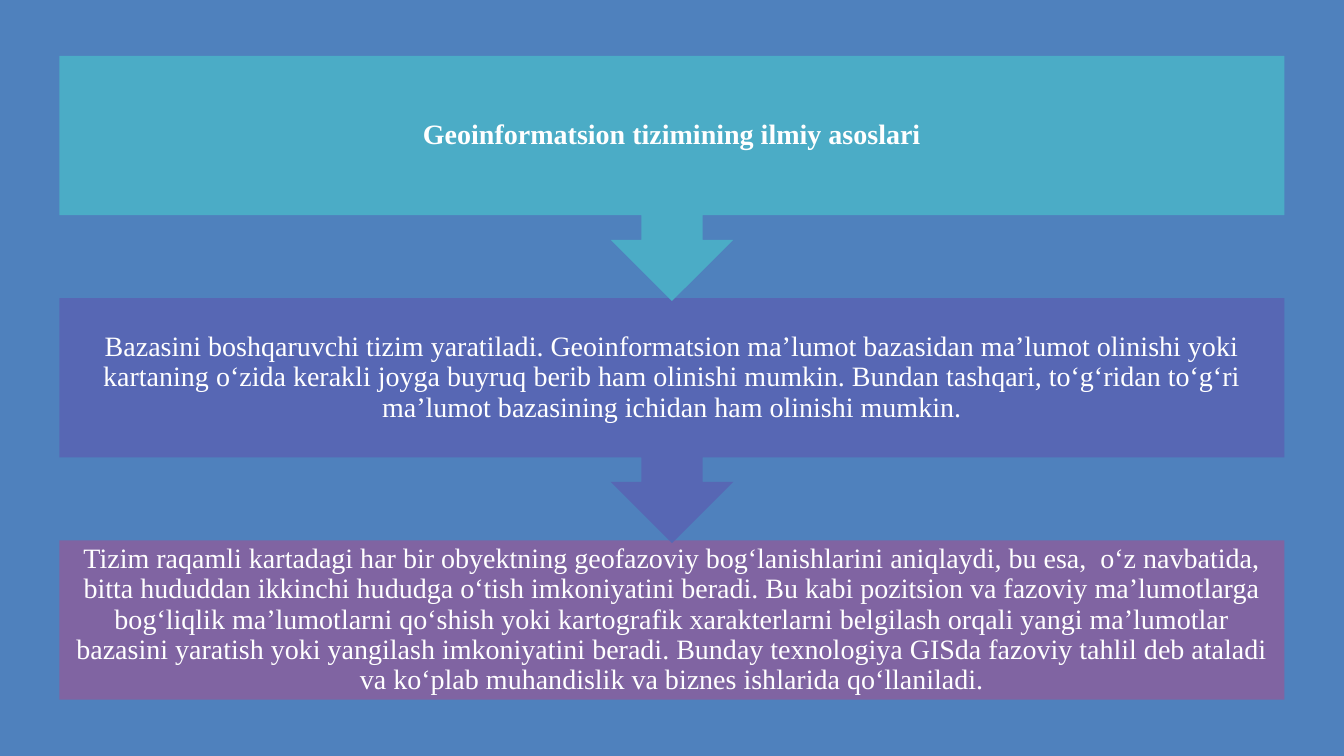
from dataclasses import dataclass

from pptx import Presentation
from pptx.dml.color import RGBColor
from pptx.enum.shapes import MSO_SHAPE as Preset
from pptx.enum.text import MSO_ANCHOR as Anchor, PP_ALIGN as Align
from pptx.util import Pt


@dataclass(frozen=True)
class Theme:
    """Hold the colours and type of the slide."""
    background: str = "4F81BD"
    stage_fills: tuple = ("4BACC6", "5767B4", "8064A2")
    text: str = "FFFFFF"
    font: str = "Times New Roman"
    size: float = 20
    line_spacing: float = 0.9
    inset: float = 11.2


THEME = Theme()
BODY_SHARE = 0.65

STAGES = (
    "Geоinfоrmаtsiоn tizimining ilmiy asoslari",
    "Bazasini boshqaruvchi tizim yaratiladi. Geоinfоrmаtsiоn ma’lumot bazasidan "
    "ma’lumot olinishi yoki kartaning oʻzida kerakli joyga buyruq berib ham olinishi "
    "mumkin. Bundan tashqari, toʻgʻridan toʻgʻri ma’lumot bazasining ichidan ham "
    "olinishi mumkin.",
    "Tizim raqamli kartadagi har bir obyektning geofazoviy bogʻlanishlarini aniqlaydi, "
    "bu esa,  oʻz navbatida, bitta hududdan ikkinchi hududga oʻtish imkoniyatini beradi. "
    "Bu kabi pozitsion va fazoviy ma’lumotlarga bogʻliqlik ma’lumotlarni qoʻshish yoki "
    "kartografik хarakterlarni belgilash orqali yangi ma’lumotlar bazasini yaratish yoki "
    "yangilash imkoniyatini beradi. Bunday teхnologiya GISda fazoviy tahlil deb ataladi "
    "va koʻplab muhandislik va biznes ishlarida qoʻllaniladi.",
)


def add_text(slide, text, left, top, width, height, *, bold=False,
             size=THEME.size, color=THEME.text):
    """Add a centred, wrapping text box."""
    frame = slide.shapes.add_textbox(Pt(left), Pt(top), Pt(width), Pt(height)).text_frame
    frame.word_wrap = True
    frame.vertical_anchor = Anchor.MIDDLE
    frame.margin_left = frame.margin_right = Pt(THEME.inset)
    frame.margin_top = frame.margin_bottom = Pt(THEME.inset)
    paragraph = frame.paragraphs[0]
    paragraph.alignment = Align.CENTER
    paragraph.line_spacing = THEME.line_spacing
    run = paragraph.add_run()
    run.text = text
    run.font.name = THEME.font
    run.font.size = Pt(size)
    run.font.bold = bold
    run.font.color.rgb = RGBColor.from_string(color)


def add_stage(slide, text, fill, left, top, width, height, *, arrow=True, bold=False):
    """Add one stage, with an arrow below its body unless it is the last."""
    body_height = height * BODY_SHARE
    preset = Preset.UP_ARROW_CALLOUT if arrow else Preset.RECTANGLE
    shape = slide.shapes.add_shape(preset, Pt(left), Pt(top), Pt(width),
                                   Pt(height if arrow else body_height))
    shape.rotation = 180 if arrow else 0
    shape.shadow.inherit = False
    shape.fill.solid()
    shape.fill.fore_color.rgb = RGBColor.from_string(fill)
    shape.line.fill.background()
    add_text(slide, text, left, top, width, body_height, bold=bold)


def add_process(slide, left, top, width, stage_height, pitch):
    """Stack the stages from last to first so each arrow lies over the next body."""
    last = len(STAGES) - 1
    for index in range(last, -1, -1):
        add_stage(slide, STAGES[index], THEME.stage_fills[index],
                  left, top + index * pitch, width, stage_height,
                  arrow=index < last, bold=index == 0)


def main():
    """Build and save the presentation."""
    presentation = Presentation()
    presentation.slide_width = Pt(960)
    presentation.slide_height = Pt(540)
    slide = presentation.slides.add_slide(presentation.slide_layouts[6])
    slide.background.fill.solid()
    slide.background.fill.fore_color.rgb = RGBColor.from_string(THEME.background)
    add_process(slide, left=42.5, top=40, width=875, stage_height=175, pitch=173)
    presentation.save("out.pptx")


if __name__ == "__main__":
    main()
